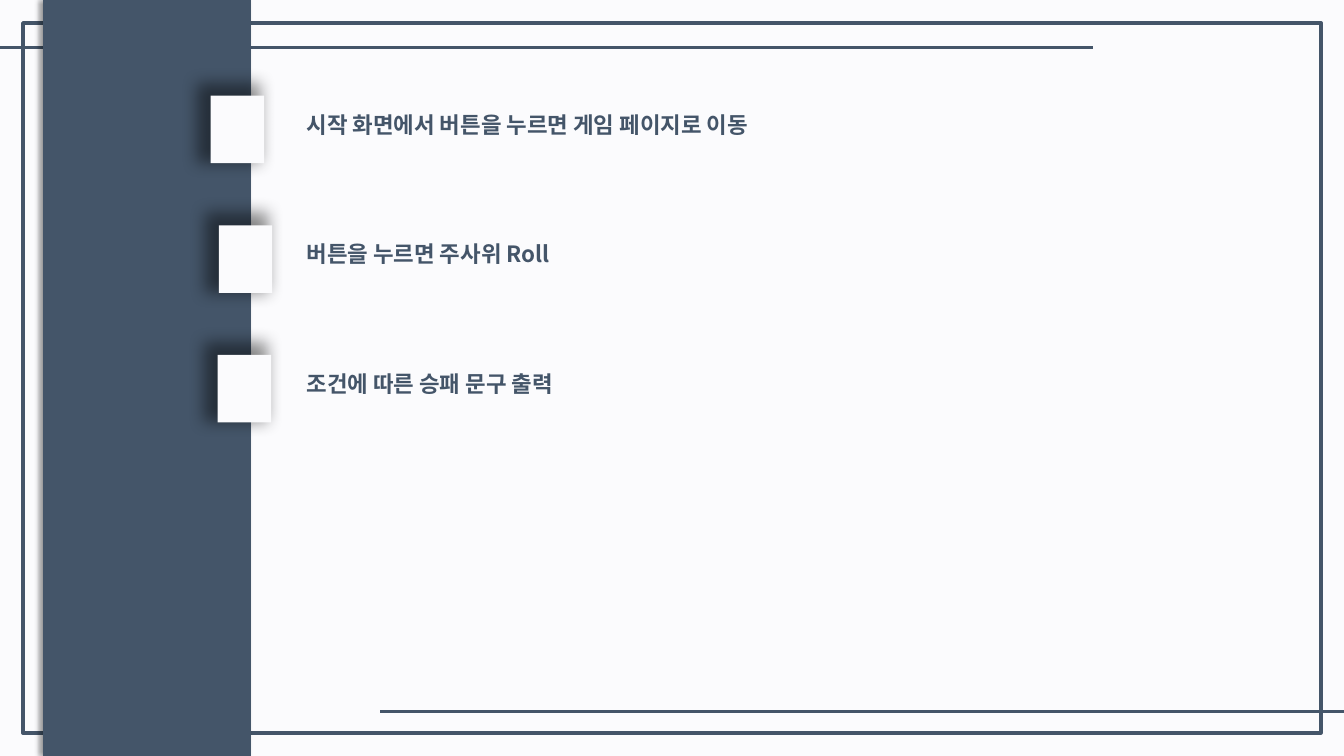
"""Build a slide listing the three steps of a dice game beside a vertical band."""
from lxml.etree import SubElement
from pptx import Presentation
from pptx.dml.color import RGBColor
from pptx.enum.shapes import MSO_CONNECTOR, MSO_SHAPE
from pptx.enum.text import MSO_ANCHOR, MSO_AUTO_SIZE, PP_ALIGN
from pptx.oxml.ns import qn
from pptx.util import Inches, Pt

COLORS = {"navy": "445569", "paper": "FBFBFD", "shadow": "000000"}
RGB = {name: RGBColor.from_string(value) for name, value in COLORS.items()}
FONT = "Noto Sans CJK KR"
W, H = 13.33, 7.5
MARGIN = 0.23
TEXT_X, TEXT_Y, TEXT_H = 2.94, 1.05, 0.37
TAB_Y, TAB_W, TAB_H = 0.95, 0.53, 0.67
ROW_PITCH = 1.285


def add_block(kind, x, y, w, h, fill=None):
    """Add a shape with a plain fill, or a navy outline when no fill is given."""
    sp = slide.shapes.add_shape(kind, *map(Inches, (x, y, w, h)))
    sp.shadow.inherit = False
    if fill:
        sp.fill.solid()
        sp.fill.fore_color.rgb = RGB[fill]
        sp.line.fill.background()
    else:
        sp.fill.background()
        sp.line.color.rgb = RGB["navy"]
        sp.line.width = Pt(3)
    return sp


def add_shadow(sp, alpha, blur, angle, scale):
    """Cast a soft shadow to the left of a shape."""
    effects = sp._element.spPr.find(qn("a:effectLst"))
    shadow = SubElement(effects, qn("a:outerShdw"), blurRad=str(Pt(blur)), dist=str(Pt(3)),
                        dir=str(angle * 60000), sx=str(scale * 1000), sy=str(scale * 1000),
                        algn="br", rotWithShape="0")
    color = SubElement(shadow, qn("a:srgbClr"), val=COLORS["shadow"])
    SubElement(color, qn("a:alpha"), val=str(alpha * 1000))


prs = Presentation()
prs.slide_width, prs.slide_height = Inches(W), Inches(H)
slide = prs.slides.add_slide(prs.slide_layouts.get_by_name("Comparison"))
slide.background.fill.solid()
slide.background.fill.fore_color.rgb = RGB["paper"]

add_block(MSO_SHAPE.RECTANGLE, MARGIN, MARGIN, W - 2 * MARGIN, H - 2 * MARGIN)

for x1, x2, y in [(10.84, -0.02, 0.47), (W, 3.77, 7.06)]:
    rule = slide.shapes.add_connector(MSO_CONNECTOR.STRAIGHT, *map(Inches, (x1, y, x2, y)))
    rule.line.color.rgb = RGB["navy"]
    rule.line.width = Pt(2)
    SubElement(rule._element.spPr, qn("a:effectLst"))

band = add_block(MSO_SHAPE.PARALLELOGRAM, 0.43, 0, 2.06, H, "navy")
band.adjustments[0] = 0
add_shadow(band, alpha=40, blur=4, angle=180, scale=100)

steps = [
    ("시작 화면에서 버튼을 누르면 게임 페이지로 이동", 2.09, 6.61),
    ("버튼을 누르면 주사위 Roll", 2.17, 8.7),
    ("조건에 따른 승패 문구 출력", 2.16, 6.61),
]
frame_format = {"word_wrap": True, "auto_size": MSO_AUTO_SIZE.SHAPE_TO_FIT_TEXT,
                "vertical_anchor": MSO_ANCHOR.TOP}
para_format = {"alignment": PP_ALIGN.LEFT, "space_before": Pt(0), "line_spacing": 1.0}
font_format = {"name": FONT, "size": Pt(16), "bold": True}

for row, (text, tab_x, text_w) in enumerate(steps):
    offset = row * ROW_PITCH
    tab = add_block(MSO_SHAPE.RECTANGLE, tab_x, TAB_Y + offset, TAB_W, TAB_H, "paper")
    add_shadow(tab, alpha=45, blur=12, angle=185, scale=118)

    sp = slide.placeholders[row + 1]
    sp.left, sp.top, sp.width, sp.height = map(
        Inches, (TEXT_X, TEXT_Y + offset, text_w, TEXT_H))
    tf = sp.text_frame
    for key, value in frame_format.items():
        setattr(tf, key, value)
    p = tf.paragraphs[0]
    for key, value in para_format.items():
        setattr(p, key, value)
    pPr = p._p.get_or_add_pPr()
    pPr.set("marL", "0")
    pPr.set("indent", "0")
    SubElement(pPr, qn("a:buNone"))
    r = p.add_run()
    r.text = text
    for key, value in font_format.items():
        setattr(r.font, key, value)
    r.font.color.rgb = RGB["navy"]
    SubElement(r._r.get_or_add_rPr(), qn("a:ea"), typeface=FONT)

for sp in list(slide.placeholders):
    if not sp.text_frame.text:
        sp._element.getparent().remove(sp._element)

prs.save("out.pptx")
